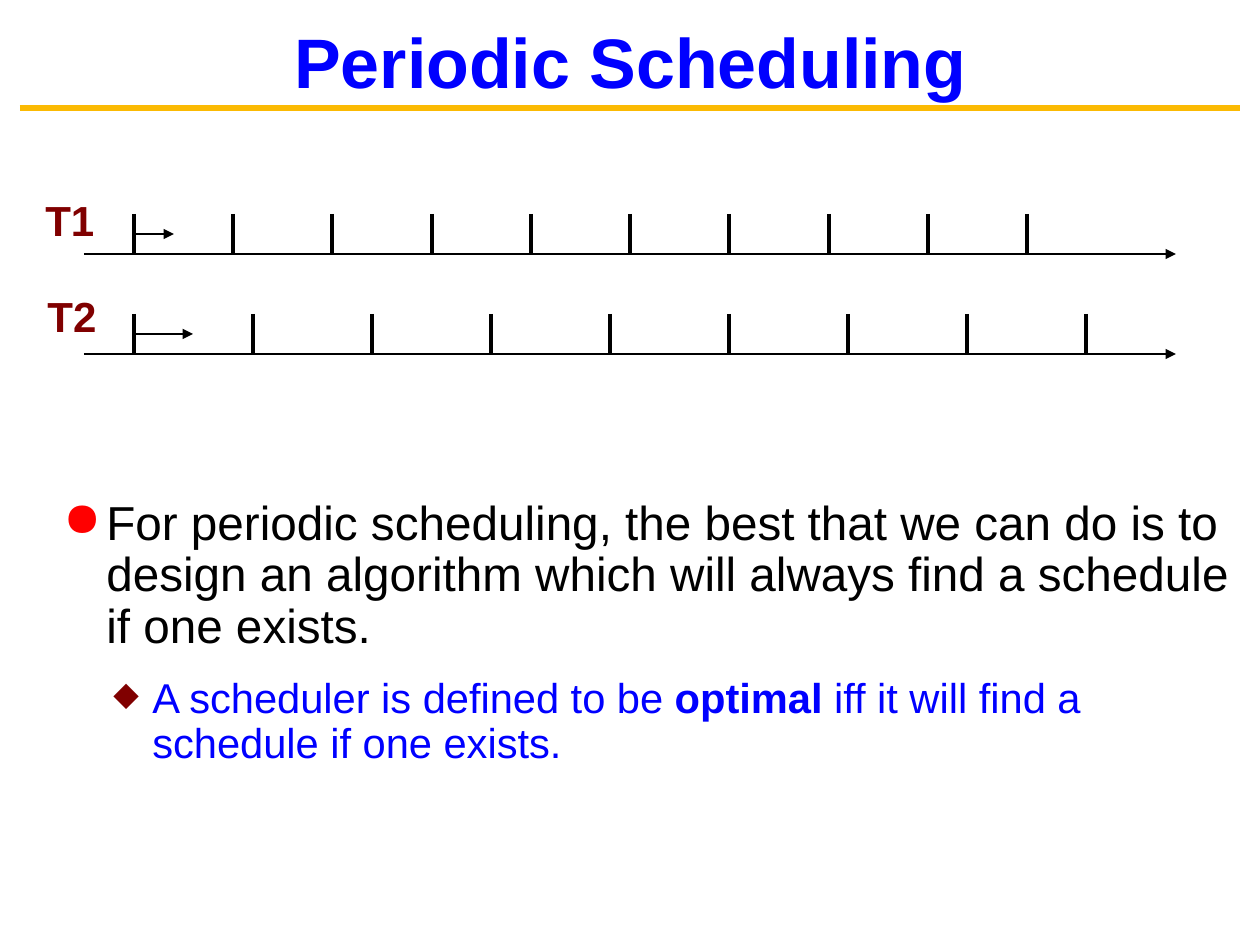
from pptx import Presentation
from pptx import util as u
from pptx.dml.color import RGBColor
from pptx.enum import shapes, text
from pptx.oxml.ns import qn
from lxml import etree

PX = 914400 // 126
WIDE, HIGH = 1260, 945
START, TICK = 134, 40
AXIS = (84, 1176)
TITLE = "Periodic Scheduling"
TASKS = [
    dict(name="T1", at=(33, 188), base=254, last=1027, gaps=9, run=40),
    dict(name="T2", at=(35, 284), base=354, last=1086, gaps=8, run=59),
]
BODY = [
    dict(runs=[("For periodic scheduling, the best that we can do is to design "
                "an algorithm which will always find a schedule if one exists.", False)],
         size=27.2, hue="000000", left=60, hang=43, gap=0,
         mark="●", tint="FF0000", scale=100),
    dict(runs=[("A scheduler is defined to be ", False), ("optimal", True),
               (" iff it will find a schedule if one exists.", False)],
         size=23.8, hue="0000FF", left=106, hang=39, gap=14,
         mark="◆", tint="800000", scale=80),
]


def rgb(hue):
    return RGBColor.from_string(hue)


def px(*vals):
    return [u.Emu(v * PX) for v in vals]


def style(para, size, hue, bold=None):
    font = para.font
    font.name, font.size, font.bold = "Arial", u.Pt(size), bold
    font.color.rgb = rgb(hue)


def line(x1, y1, x2, y2, width, hue="000000", arrow=False):
    link = slide.shapes.add_connector(
        shapes.MSO_CONNECTOR.STRAIGHT, *px(x1, y1, x2, y2))
    link.line.width = u.Pt(width)
    link.line.color.rgb = rgb(hue)
    props = link._element.spPr
    etree.SubElement(props, qn("a:effectLst"))
    if arrow:
        etree.SubElement(props.find(qn("a:ln")), qn("a:tailEnd"), type="triangle")


def box(x, y, w, h, wrap=True):
    frame = slide.shapes.add_textbox(*px(x, y, w, h)).text_frame
    frame.word_wrap = wrap
    return frame


def bullet(para, item):
    props = para._p.get_or_add_pPr()
    props.set("marL", str(item["left"] * PX))
    props.set("indent", str(-item["hang"] * PX))
    tint = etree.SubElement(props, qn("a:buClr"))
    etree.SubElement(tint, qn("a:srgbClr"), val=item["tint"])
    etree.SubElement(props, qn("a:buSzPct"), val=str(item["scale"] * 1000))
    etree.SubElement(props, qn("a:buChar"), char=item["mark"])


deck = Presentation()
deck.slide_width, deck.slide_height = px(WIDE, HIGH)
slide = deck.slides.add_slide(deck.slide_layouts[6])

line(20, 108, 1240, 108, 3.75, "FBBA03")
head = box(24, 18, 1213, 84)
head.vertical_anchor = text.MSO_ANCHOR.MIDDLE
para = head.paragraphs[0]
para.text, para.alignment = TITLE, text.PP_ALIGN.CENTER
style(para, 40, "0000FF", True)

body = box(34, 493, 1226, 276)
for i, item in enumerate(BODY):
    para = body.add_paragraph() if i else body.paragraphs[0]
    para.level = i
    para.line_spacing = 0.9
    para.space_before = u.Pt(item["gap"])
    bullet(para, item)
    style(para, item["size"], item["hue"])
    for words, bold in item["runs"]:
        run = para.add_run()
        run.text = words
        if bold:
            run.font.bold = True

for task in TASKS:
    base = task["base"]
    line(AXIS[0], base, AXIS[1], base, 0.75, arrow=True)
    for i in range(task["gaps"] + 1):
        x = START + round(i * (task["last"] - START) / task["gaps"])
        line(x, base - TICK, x, base, 2.25)
    mid = base - TICK // 2
    line(START, mid, START + task["run"], mid, 0.75, arrow=True)
    para = box(*task["at"], 74, 63, wrap=False).paragraphs[0]
    para.text = task["name"]
    style(para, 24, "800000", True)

deck.save("out.pptx")
